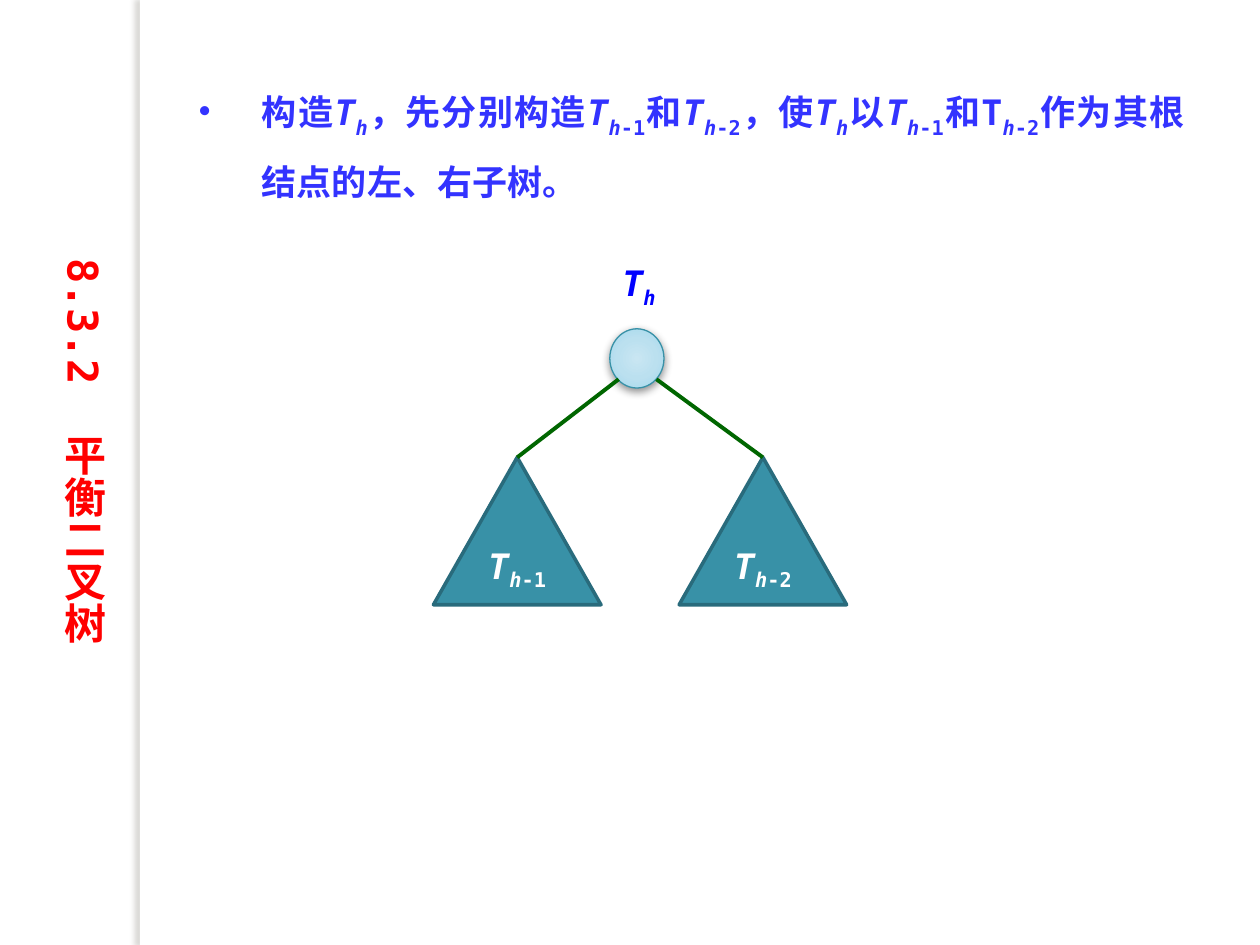
import pptx
import pptx.dml.color
import pptx.enum.shapes
import pptx.enum.text
import pptx.oxml
import pptx.oxml.ns
import pptx.util
from typing import NamedTuple

Inches, Pt = pptx.util.Inches, pptx.util.Pt
SHAPE = pptx.enum.shapes.MSO_SHAPE
ALIGN = pptx.enum.text.PP_ALIGN
ANCHOR = pptx.enum.text.MSO_ANCHOR
AUTO_SIZE = pptx.enum.text.MSO_AUTO_SIZE
NS = pptx.oxml.ns.nsdecls("a")

FONT = "DejaVu Sans Mono"
COLORS = {
    "paper": "FFFFFF", "body": "3333FF", "title": "FF0000", "label": "0000FF",
    "teal": "3891A7", "teal_dark": "296B7C", "edge": "006600",
    "bar_shadow": "736F63", "node_shadow": "000000",
}
NODE_GRADIENT = [(0, "C9E6F2"), (50, "BBE0EF"), (97, "A4D8ED"), (100, "9BD7EE")]


class Run(NamedTuple):
    text: str
    italic: bool = False
    base: int = 0       # baseline shift in percent
    spacing: float = 0  # extra character spacing in points


class Subtree(NamedTuple):
    left: float
    suffix: str
    root_x: float  # where its edge leaves the root


def rgb(name: str) -> pptx.dml.color.RGBColor:
    return pptx.dml.color.RGBColor.from_string(COLORS[name])


def tree_name(suffix: str = "", base: int = -25, italic: bool = True) -> list[Run]:
    """T with the subscript h and an optional upright suffix."""
    runs = [Run("T", italic), Run("h", True, base)]
    return runs + [Run(suffix, False, base)] if suffix else runs


def write(sp, runs: list[Run], *, color: str, size: float = 20, align=None,
          anchor=ANCHOR.TOP, wrap: bool = True, grow: bool = False,
          line_spacing: float | None = None, bullet: str = "",
          indent: float = 0) -> None:
    tf = sp.text_frame
    tf.word_wrap, tf.vertical_anchor = wrap, anchor
    if grow:
        tf.auto_size = AUTO_SIZE.SHAPE_TO_FIT_TEXT
    p = tf.paragraphs[0]
    p.alignment, p.line_spacing = align, line_spacing
    if bullet:
        pPr = p._p.get_or_add_pPr()
        pPr.set("marL", str(Inches(indent)))
        pPr.set("indent", str(-Inches(indent)))
        pPr.append(pptx.oxml.parse_xml(f'<a:buChar {NS} char="{bullet}"/>'))
    for run in runs:
        r = p.add_run()
        r.text = run.text
        r.font.name, r.font.size = FONT, Pt(size)
        r.font.bold, r.font.italic = True, run.italic
        r.font.color.rgb = rgb(color)
        rPr = r._r.get_or_add_rPr()
        rPr.set("lang", "zh-CN")
        if run.base:
            rPr.set("baseline", str(run.base * 1000))
        if run.spacing:
            rPr.set("spc", str(round(run.spacing * 100)))


def add_box(shapes, left: float, top: float, width: float, height: float):
    return shapes.add_textbox(Inches(left), Inches(top), Inches(width), Inches(height))


def add_shape(shapes, kind, left: float, top: float, width: float, height: float, *,
              fill: str, line: str = "", line_width: float = 0):
    sp = shapes.add_shape(kind, Inches(left), Inches(top), Inches(width), Inches(height))
    sp.shadow.inherit = False
    sp.fill.solid()
    sp.fill.fore_color.rgb = rgb(fill)
    if line:
        sp.line.color.rgb = rgb(line)
        sp.line.width = Pt(line_width)
    else:
        sp.line.fill.background()
    return sp


def add_shadow(sp, color: str, alpha: int, blur: float, dist: float, angle: int) -> None:
    effects = sp._element.spPr.find(pptx.oxml.ns.qn("a:effectLst"))
    effects.append(pptx.oxml.parse_xml(
        f'<a:outerShdw {NS} blurRad="{Pt(blur)}" dist="{Pt(dist)}" dir="{angle * 60000}" '
        f'rotWithShape="0"><a:srgbClr val="{COLORS[color]}">'
        f'<a:alpha val="{alpha * 1000}"/></a:srgbClr></a:outerShdw>'))


def set_radial_fill(sp, stops: list[tuple[int, str]]) -> None:
    gs = "".join(f'<a:gs pos="{pos * 1000}"><a:srgbClr val="{color}"/></a:gs>'
                 for pos, color in stops)
    spPr = sp._element.spPr
    spPr.replace(spPr.find(pptx.oxml.ns.qn("a:solidFill")), pptx.oxml.parse_xml(
        f'<a:gradFill {NS} rotWithShape="1"><a:gsLst>{gs}</a:gsLst><a:path path="circle">'
        '<a:fillToRect l="50000" t="50000" r="50000" b="50000"/></a:path></a:gradFill>'))


def add_edge(shapes, x1: float, y1: float, x2: float, y2: float) -> None:
    line = shapes.add_connector(pptx.enum.shapes.MSO_CONNECTOR.STRAIGHT,
                                Inches(x1), Inches(y1), Inches(x2), Inches(y2))
    line.line.color.rgb = rgb("edge")
    line.line.width = Pt(2.25)
    line._element.spPr.append(pptx.oxml.parse_xml(f"<a:effectLst {NS}/>"))


def add_tree(s) -> None:
    shapes = s.shapes.add_group_shape().shapes
    # Root node and its label
    root = add_shape(shapes, SHAPE.OVAL, 4.84, 2.61, 0.43, 0.47,
                     fill="paper", line="teal", line_width=0.75)
    set_radial_fill(root, NODE_GRADIENT)
    add_shadow(root, "node_shadow", 43, 5, 2, 90)
    write(add_box(shapes, 4.84, 2.03, 0.55, 0.44), tree_name(), color="label", grow=True)
    # Subtrees, each joined to the root at its apex
    top, width, height = 3.63, 1.33, 1.17
    for tree in (Subtree(3.44, "-1", 4.91), Subtree(5.39, "-2", 5.21)):
        sp = add_shape(shapes, SHAPE.ISOSCELES_TRIANGLE, tree.left, top, width, height,
                       fill="teal", line="teal_dark", line_width=2)
        write(sp, tree_name(tree.suffix), color="paper", align=ALIGN.CENTER,
              anchor=ANCHOR.MIDDLE, wrap=False)
        add_edge(shapes, tree.root_x, 3.01, tree.left + width / 2, top)


def main() -> None:
    prs = pptx.Presentation()
    prs.slide_width, prs.slide_height = Inches(10), Inches(7.5)
    s = prs.slides.add_slide(prs.slide_layouts[6])

    # Side bar
    bar = add_shape(s.shapes, SHAPE.RECTANGLE, 1.11, 0, 0.08, 7.5, fill="paper")
    add_shadow(bar, "bar_shadow", 25, 3, 3, 180)

    # Explanation
    th, th1, th2 = (tree_name(suffix, -30) for suffix in ("", "-1", "-2"))
    runs = [Run("构造"), *th, Run("，先分别构造"), *th1, Run("和"), *th2,
            Run("，使"), *th, Run("以"), *th1, Run("和"),
            *tree_name("-2", -30, italic=False), Run("作为其根结点的左、右子树。")]
    write(add_box(s.shapes, 1.48, 0.47, 8.02, 1.11), runs, color="body", grow=True,
          align=ALIGN.JUSTIFY, line_spacing=1.5, bullet="•", indent=0.5)

    add_tree(s)

    # Vertical section title
    title = add_box(s.shapes, 0.31, 1.95, 0.61, 3.44)
    write(title, [Run("8.3.2"), Run(" ", spacing=14.4), Run("平衡二叉树")],
          color="title", size=24, align=ALIGN.CENTER, grow=True)
    title.text_frame._txBody.bodyPr.set("vert", "eaVert")

    prs.save("out.pptx")


if __name__ == "__main__":
    main()
